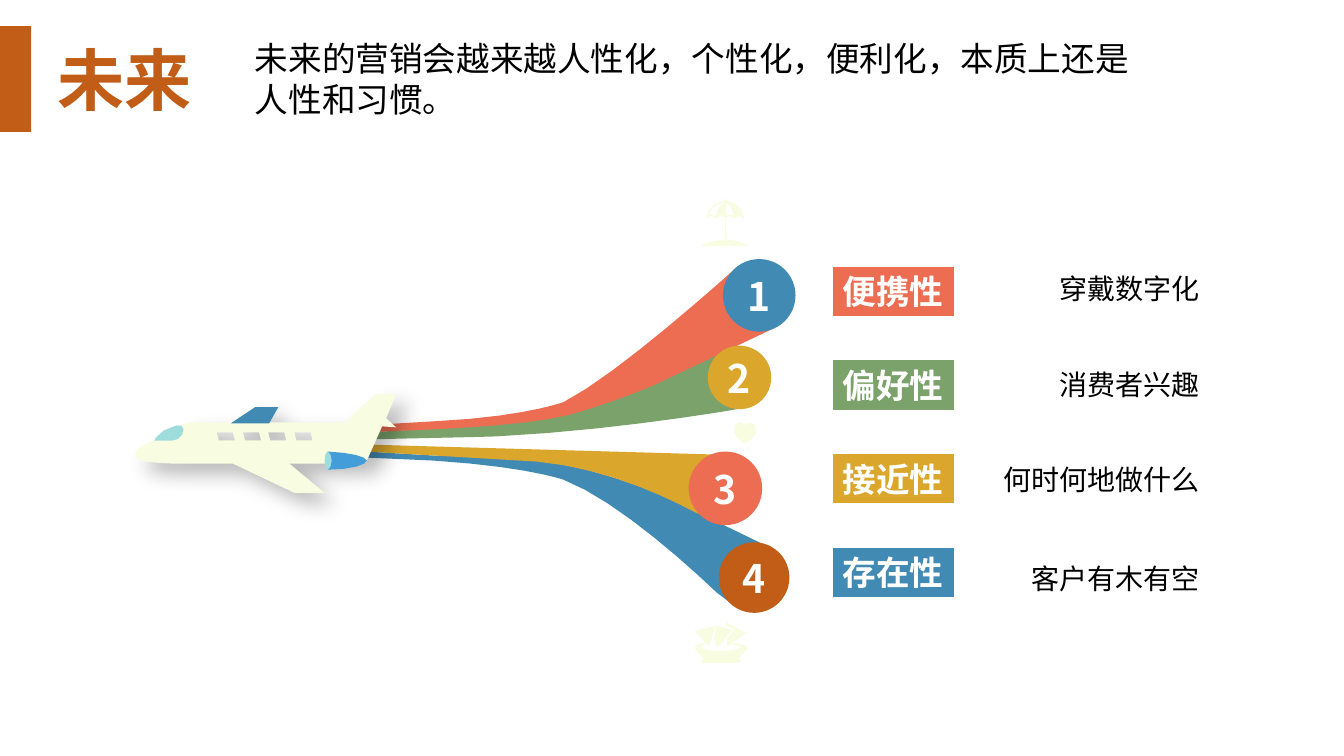
from math import ceil, dist

from lxml import etree
from pptx import Presentation
from pptx.dml.color import RGBColor
from pptx.enum.shapes import MSO_SHAPE
from pptx.enum.text import MSO_ANCHOR, PP_ALIGN
from pptx.oxml.ns import qn
from pptx.util import Inches, Pt

OVAL, RECT = MSO_SHAPE.OVAL, MSO_SHAPE.RECTANGLE
TOP, MIDDLE = MSO_ANCHOR.TOP, MSO_ANCHOR.MIDDLE
LEFT, CENTER, RIGHT = PP_ALIGN.LEFT, PP_ALIGN.CENTER, PP_ALIGN.RIGHT

FONT = "Noto Sans CJK SC"
BLACK = RGBColor(0x00, 0x00, 0x00)
WHITE = RGBColor(0xFF, 0xFF, 0xFF)
RUST = RGBColor(0xC1, 0x5D, 0x17)
CORAL = RGBColor(0xEC, 0x6D, 0x51)
GREEN = RGBColor(0x7B, 0xA2, 0x6A)
GOLD = RGBColor(0xDA, 0xA7, 0x2C)
BLUE = RGBColor(0x41, 0x8A, 0xB3)
SKY = RGBColor(0x43, 0x9D, 0xD8)
AQUA = RGBColor(0x9E, 0xDD, 0xDB)
CREAM = RGBColor(0xF8, 0xFC, 0xE0)

# Content
HEADING = "未来"
SUMMARY = "未来的营销会越来越人性化，个性化，便利化，本质上还是人性和习惯。"
# label, label colour, description, description top
TRAITS = [
    ("便携性", CORAL, "穿戴数字化", 2.64),
    ("偏好性", GREEN, "消费者兴趣", 3.6),
    ("接近性", GOLD, "何时何地做什么", 4.54),
    ("存在性", BLUE, "客户有木有空", 5.52),
]
# number, colour, left, top, diameter
BADGES = [
    ("2", GOLD, 7.02, 3.43, 0.63),
    ("3", CORAL, 6.83, 4.48, 0.73),
    ("4", RUST, 7.13, 5.38, 0.7),
    ("1", BLUE, 7.17, 2.57, 0.72),
]

# Outlines in inches: a pair is a corner, six numbers are a Bezier curve
RIBBONS = [
    (BLUE, [[(6.56, 4.91), (6.08, 4.71, 5.68, 4.63, 5.68, 4.63),
             (5.3, 4.53, 4.3, 4.52, 4.3, 4.52), (3.63, 4.48), (3.63, 4.54), (4.3, 4.57),
             (5.23, 4.63, 5.59, 4.76, 5.59, 4.76), (6.06, 4.94, 6.71, 5.5, 7.11, 5.88),
             (7.34, 6.09, 7.5, 6.08, 7.5, 6.08), (7.55, 5.39)]]),
    (GOLD, [[(3.63, 4.41), (3.63, 4.48), (5.33, 4.58), (5.97, 4.64, 6.55, 4.9, 6.87, 5.07),
             (7.05, 5.17, 7.08, 5.15, 7.08, 5.15), (7.1, 4.51)]]),
    (GREEN, [[(7.13, 3.49), (7.13, 3.49, 6.07, 4.08, 5.33, 4.16),
              (5.33, 4.16, 4.69, 4.24, 3.63, 4.29), (3.63, 4.36),
              (4, 4.35, 4.59, 4.34, 4.92, 4.33), (6.12, 4.27, 7.31, 4.06, 7.31, 4.06)]]),
    (CORAL, [[(7.49, 2.65), (7.49, 2.65, 7.42, 2.55, 7.31, 2.65),
              (6.93, 2.99, 6.06, 3.75, 5.59, 3.99), (5.59, 3.99, 5.18, 4.14, 4.31, 4.18),
              (3.63, 4.22), (3.63, 4.29), (4.3, 4.26), (4.3, 4.26, 5.25, 4.22, 5.63, 4.12),
              (5.63, 4.12, 6.02, 4.02, 6.49, 3.82), (7.67, 3.26)]]),
]
WINDOWS = [[(x, 4.29), (x + 0.16, 4.29), (x + 0.18, 4.37), (x + 0.02, 4.37)]
           for x in (2.92, 2.66, 2.41, 2.15)]
FUSELAGE = [
    (1.35, 4.53), (1.35, 4.53, 1.35, 4.59, 1.55, 4.59), (1.72, 4.6), (2.31, 4.6), (2.92, 4.89),
    (3.22, 4.89), (2.87, 4.6), (3.17, 4.6), (3.63, 4.59), (3.79, 4.23), (3.93, 4.24),
    (3.83, 4.15), (3.93, 3.91), (3.73, 3.91), (3.55, 4.07), (3.43, 4.19), (2.66, 4.19),
    (2.75, 4.04), (2.53, 4.04), (2.29, 4.19), (1.9, 4.19), (1.75, 4.23),
    (1.79, 4.22, 1.82, 4.22, 1.82, 4.26), (1.82, 4.32, 1.77, 4.37, 1.71, 4.37), (1.53, 4.37),
    (1.46, 4.4), (1.33, 4.45, 1.34, 4.5, 1.35, 4.53)]
PLANE_PARTS = [
    # engine, engine intake, far wing, cockpit
    (SKY, [[(3.25, 4.48), (3.28, 4.57), (3.25, 4.66), (3.43, 4.66, 3.56, 4.63, 3.61, 4.6),
            (3.64, 4.57), (3.63, 4.53, 3.48, 4.49, 3.25, 4.48)]]),
    (AQUA, [[(3.25, 4.48), (3.27, 4.48, 3.29, 4.52, 3.29, 4.57), (3.29, 4.62, 3.27, 4.66, 3.25, 4.66),
             (3.23, 4.66, 3.22, 4.62, 3.22, 4.57), (3.22, 4.52, 3.23, 4.48, 3.25, 4.48)]]),
    (BLUE, [[(2.67, 4.2), (2.76, 4.04), (2.53, 4.04), (2.29, 4.2)]]),
    (AQUA, [[(1.75, 4.22), (1.79, 4.22, 1.82, 4.22, 1.82, 4.26),
             (1.82, 4.32, 1.77, 4.37, 1.71, 4.37), (1.53, 4.37),
             (1.53, 4.37, 1.59, 4.25, 1.75, 4.22)]]),
]
BOWL = [[(7.41, 6.43), (7.39, 6.4), (7.29, 6.38), (7.27, 6.39), (7.35, 6.42),
         (7.35, 6.44, 7.25, 6.46, 7.15, 6.46), (7.05, 6.46, 6.95, 6.44, 6.95, 6.42), (7, 6.39),
         (6.98, 6.38), (6.91, 6.4), (6.89, 6.43), (6.98, 6.54), (6.95, 6.56), (6.97, 6.58),
         (7.33, 6.58), (7.35, 6.56), (7.32, 6.54)]]
SLICES = [
    [[(7.21, 6.38), (7.22, 6.41), (7.4, 6.28), (7.2, 6.17), (7.2, 6.21), (7.29, 6.24), (7.21, 6.34)]],
    [[(7.1, 6.38), (7.11, 6.42), (7.17, 6.37), (7.2, 6.32), (7.27, 6.25), (7.11, 6.21), (7.08, 6.33)]],
    [[(7.1, 6.21), (6.89, 6.26), (7, 6.38), (7.04, 6.41), (7.06, 6.32)]],
]
PARASOL = [
    [(6.95, 2.44), (7.43, 2.44), (7.36, 2.4, 7.28, 2.38, 7.2, 2.38), (7.2, 2.16), (7.24, 2.14),
     (7.28, 2.17), (7.33, 2.14), (7.38, 2.17), (7.38, 2.07, 7.3, 2, 7.2, 1.99), (7.2, 1.97),
     (7.19, 1.97), (7.19, 1.99), (7.09, 2, 7.01, 2.07, 7.01, 2.17), (7.06, 2.14), (7.1, 2.17),
     (7.15, 2.14), (7.19, 2.16), (7.19, 2.38), (7.11, 2.38, 7.03, 2.4, 6.95, 2.44)],
    [(7.2, 2.01), (7.2, 2.01, 7.26, 2.03, 7.28, 2.14), (7.24, 2.13), (7.2, 2.14)],
    [(7.1, 2.14), (7.03, 2.13), (7.05, 2.06, 7.11, 2.01, 7.19, 2.01),
     (7.12, 2.03, 7.1, 2.14, 7.1, 2.14)]]
HEART = [[(7.44, 4.19), (7.42, 4.19, 7.4, 4.2, 7.39, 4.22), (7.38, 4.2, 7.36, 4.19, 7.34, 4.19),
          (7.31, 4.19, 7.26, 4.22, 7.28, 4.29), (7.31, 4.36, 7.39, 4.4, 7.39, 4.4),
          (7.39, 4.4, 7.47, 4.36, 7.5, 4.29), (7.51, 4.22, 7.47, 4.19, 7.44, 4.19)]]

prs = Presentation()
prs.slide_width, prs.slide_height = Inches(13.33), Inches(7.5)
shapes = prs.slides.add_slide(prs.slide_layouts[6]).shapes


def flatten(outline):
    points = [outline[0]]
    for step in outline[1:]:
        if len(step) == 2:
            points.append(step)
            continue
        x0, y0 = points[-1]
        x1, y1, x2, y2, x3, y3 = step
        # Longer curves get more straight pieces
        pieces = min(7, 2 + ceil(4 * dist((x0, y0), (x3, y3)) - 0.5))
        for i in range(1, pieces + 1):
            t = i / pieces
            a, b, c, d = (1 - t) ** 3, 3 * t * (1 - t) ** 2, 3 * t * t * (1 - t), t ** 3
            points.append((a * x0 + b * x1 + c * x2 + d * x3, a * y0 + b * y1 + c * y2 + d * y3))
    return [(Inches(x), Inches(y)) for x, y in points]


def paint(shape, color):
    shape.shadow.inherit = False
    shape.fill.solid()
    shape.fill.fore_color.rgb = color
    shape.line.fill.background()
    return shape


def draw_outline(color, outlines):
    first, *holes = [flatten(outline) for outline in outlines]
    builder = shapes.build_freeform(*first[0], scale=1.0)
    builder.add_line_segments(first[1:], close=True)
    for hole in holes:
        builder.move_to(*hole[0])
        builder.add_line_segments(hole[1:], close=True)
    return paint(builder.convert_to_shape(), color)


def write(shape, text, size, color, bold=False, align=LEFT, anchor=TOP, wrap=True):
    frame = shape.text_frame
    frame.word_wrap = wrap
    frame.vertical_anchor = anchor
    frame.paragraphs[0].alignment = align
    run = frame.paragraphs[0].add_run()
    run.text = text
    run.font.name, run.font.size, run.font.bold = FONT, Pt(size), bold
    run.font.color.rgb = color
    etree.SubElement(run.font._element, qn("a:ea"), typeface=FONT)


def add_text(left, top, width, height, *args, **kwargs):
    box = shapes.add_textbox(Inches(left), Inches(top), Inches(width), Inches(height))
    write(box, *args, **kwargs)


# Ribbons and numbered badges
for color, outlines in RIBBONS:
    draw_outline(color, outlines)
for number, color, left, top, size in BADGES:
    badge = shapes.add_shape(OVAL, Inches(left), Inches(top), Inches(size), Inches(size))
    write(paint(badge, color), number, 28, WHITE, True, CENTER, MIDDLE, wrap=False)

# Plane with a soft shadow
plane = draw_outline(CREAM, [FUSELAGE] + WINDOWS)
effects = plane._element.spPr.find(qn("a:effectLst"))
shadow = etree.SubElement(effects, qn("a:outerShdw"), blurRad=str(Pt(15)), dist=str(Pt(11)),
                          dir="2700000", algn="tl", rotWithShape="0")
shade = etree.SubElement(shadow, qn("a:srgbClr"), val="000000")
etree.SubElement(shade, qn("a:alpha"), val="27000")
for color, outlines in PLANE_PARTS:
    draw_outline(color, outlines)

# Pale icons
for icon in [BOWL, *SLICES, PARASOL, HEART]:
    draw_outline(CREAM, icon)

# Labels and descriptions
for row, (trait, color, description, top) in enumerate(TRAITS):
    label = shapes.add_shape(RECT, Inches(8.26), Inches(2.64 + 0.93 * row), Inches(1.21), Inches(0.5))
    paint(label, color)
    label.line.color.rgb, label.line.width = WHITE, Pt(0.75)
    write(label, trait, 24, WHITE, True, wrap=False)
    add_text(9.79, top, 2.21, 0.44, description, 20, BLACK, align=RIGHT)

# Heading
paint(shapes.add_shape(RECT, 0, Inches(0.26), Inches(0.31), Inches(1.05)), RUST)
add_text(0.47, 0.33, 1.66, 0.91, HEADING, 48, RUST, True)
add_text(2.43, 0.33, 9.16, 0.91, SUMMARY, 24, BLACK)

prs.save("out.pptx")
